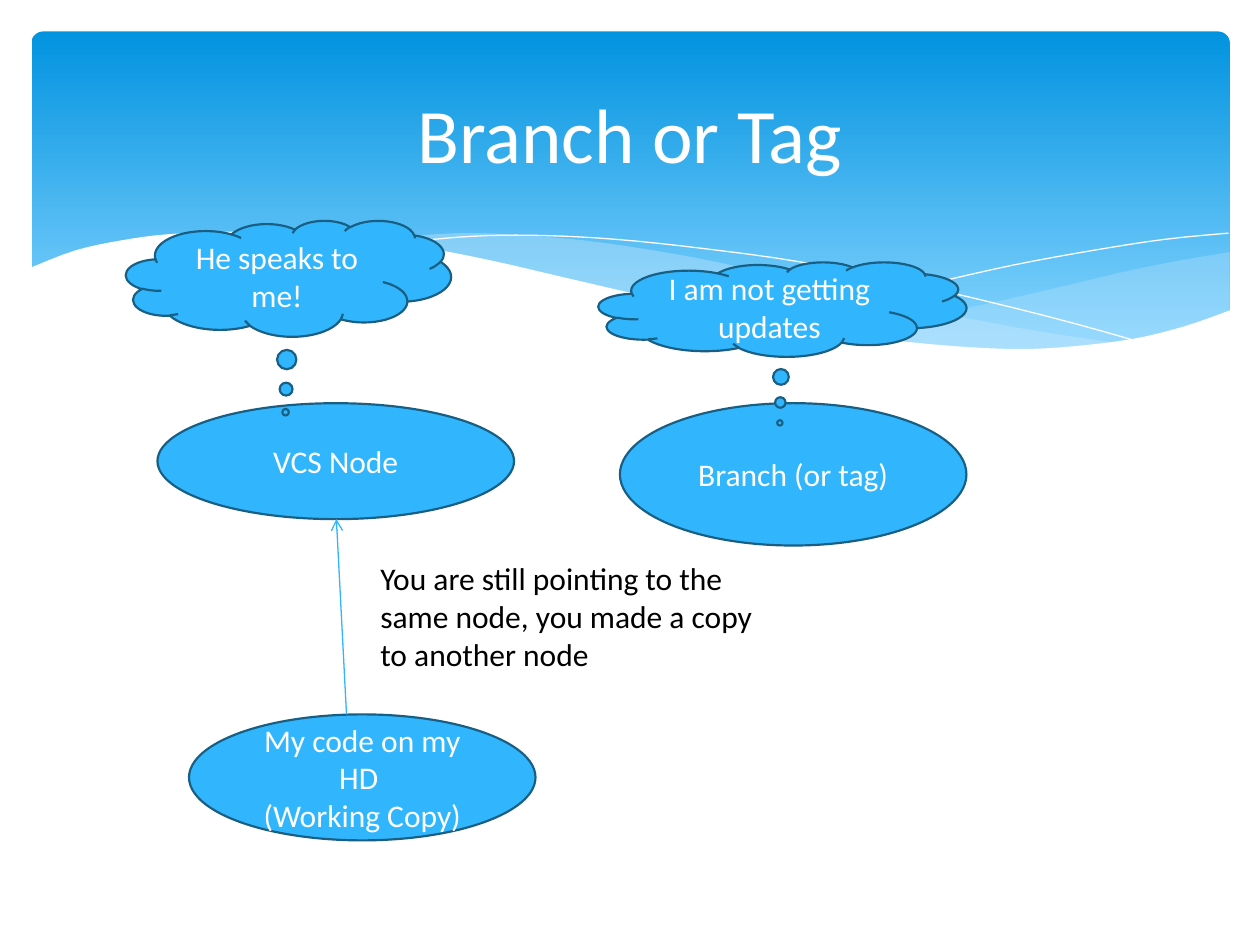
from dataclasses import dataclass

from lxml.etree import SubElement
from pptx import Presentation
from pptx.dml.color import RGBColor
from pptx.enum.shapes import MSO_CONNECTOR, MSO_SHAPE
from pptx.enum.text import MSO_ANCHOR, PP_ALIGN
from pptx.oxml.ns import qn
from pptx.util import Inches, Pt


@dataclass(frozen=True)
class Theme:
    """Colours, font and sizes used on the slide."""
    font: str = "Calibri"
    title: int = 44
    body: int = 18
    white: str = "FFFFFF"
    black: str = "000000"
    node: str = "31B6FD"
    edge: str = "195F84"
    sky_top: str = "0293E0"
    sky_bottom: str = "83D3FE"
    wave: str = "C6E7FC"


T = Theme()
RIGHT_WAVE = [(9.76, 2), (9.35, 2.07), (8.91, 2.16), (8.32, 2.3), (7.79, 2.42),
              (7.29, 2.53), (6.61, 2.65)]
RIGHT_WAVE_BASE = [(6.61, 2.65), (7.05, 2.71), (7.45, 2.75), (8.03, 2.78), (8.54, 2.76),
                   (8.97, 2.7), (9.35, 2.62), (9.76, 2.47)]
MID_WAVE = [(8.93, 2.73), (8.37, 2.65), (7.75, 2.54), (7.06, 2.4), (6.29, 2.22),
            (5.69, 2.08), (5.14, 1.98), (4.65, 1.91), (4.2, 1.87), (3.8, 1.85),
            (3.44, 1.86), (2.86, 1.91)]
MID_WAVE_BASE = [(2.86, 1.91), (3.42, 1.99), (4.04, 2.11), (4.49, 2.22), (5.3, 2.4),
                 (6.01, 2.55), (6.65, 2.66), (7.22, 2.74), (7.73, 2.77), (8.18, 2.78),
                 (8.57, 2.77), (8.93, 2.73)]
LONG_LINE = [(3.09, 1.95), (3.44, 1.9), (3.87, 1.87), (4.33, 1.87), (4.89, 1.9),
             (5.56, 1.97), (6.36, 2.08), (7.27, 2.26), (8.31, 2.51), (9.07, 2.72)]
SHORT_LINE = [(6.13, 2.57), (6.72, 2.41), (7.48, 2.23), (8.06, 2.1), (8.66, 1.99),
              (9.24, 1.9), (9.75, 1.85)]
SHEET_EDGE = [(9.77, 2.46), (9.4, 2.59), (8.99, 2.69), (8.5, 2.75), (8.09, 2.77),
              (7.61, 2.75), (7.08, 2.7), (6.48, 2.62), (5.79, 2.5), (5.03, 2.33),
              (4.47, 2.2), (3.91, 2.07), (3.4, 1.97), (2.92, 1.9), (2.5, 1.86),
              (2.11, 1.84), (1.77, 1.84), (1.32, 1.86), (0.95, 1.91), (0.59, 1.99),
              (0.23, 2.13)]


def rgb(color):
    """Turn a hex string into a colour."""
    return RGBColor.from_string(color)


def place(box, x, y, w, h):
    """Return a rectangle in lengths, offset from the box's corner."""
    return [Inches(n) for n in (box[0] + x, box[1] + y, w, h)]


def paint(s, fill=None, line=None, width=0.0, alpha=None):
    """Set fill, outline and opacity of a shape without shadow."""
    s.shadow.inherit = False
    if fill:
        s.fill.solid()
        s.fill.fore_color.rgb = rgb(fill)
        if alpha:
            color = s.fill._xPr.find(qn("a:solidFill"))[0]
            SubElement(color, qn("a:alpha"), val=str(alpha * 1000))
    else:
        s.fill.background()
    if line:
        s.line.color.rgb = rgb(line)
        s.line.width = Pt(width)
    else:
        s.line.fill.background()


def write(s, text, *, size=T.body, color=T.white, align=PP_ALIGN.CENTER,
          anchor=MSO_ANCHOR.MIDDLE):
    """Put text into a shape, one paragraph per line."""
    tf = s.text_frame
    tf.word_wrap = True
    tf.vertical_anchor = anchor
    for i, words in enumerate(text.split("\n")):
        p = tf.add_paragraph() if i else tf.paragraphs[0]
        p.alignment = align
        r = p.add_run()
        r.text = words
        r.font.name = T.font
        r.font.size = Pt(size)
        r.font.color.rgb = rgb(color)


def smooth(knots, steps=4):
    """Interpolate a Catmull-Rom curve through the knots."""
    ends = [knots[0], *knots, knots[-1]]
    points = []
    for a, b, c, d in zip(ends, ends[1:], ends[2:], ends[3:]):
        for t in (i / steps for i in range(steps)):
            points.append(tuple(
                q + t / 2 * (r - p + t * (2 * p - 5 * q + 4 * r - s + t * (3 * (q - r) + s - p)))
                for p, q, r, s in zip(a, b, c, d)))
    return points + [knots[-1]]


def outline(slide, box, points, close=True, **style):
    """Draw a freeform through points given relative to the box."""
    pts = [(Inches(box[0] + x), Inches(box[1] + y)) for x, y in points]
    builder = slide.shapes.build_freeform(*pts[0])
    builder.add_line_segments(pts[1:], close=close)
    paint(builder.convert_to_shape(), **style)


def add_backdrop(slide, box):
    """Draw the blue sky, its waves and the white sheet below."""
    sky = slide.shapes.add_shape(MSO_SHAPE.ROUNDED_RECTANGLE, *place(box, 0.25, 0.25, 9.51, 2.7))
    sky.adjustments[0] = 0.034
    paint(sky)
    sky.fill.gradient()
    sky.fill.gradient_angle = 270
    stops = zip(sky.fill.gradient_stops, (T.sky_top, T.sky_bottom), (0, 0.9))
    for stop, color, position in stops:
        stop.color.rgb = rgb(color)
        stop.position = position
    for top, base, alpha in ((RIGHT_WAVE, RIGHT_WAVE_BASE, 29), (MID_WAVE, MID_WAVE_BASE, 40)):
        outline(slide, box, smooth(top) + smooth(base), fill=T.wave, alpha=alpha)
    for knots in (LONG_LINE, SHORT_LINE):
        outline(slide, box, smooth(knots), close=False, line=T.white)
    outline(slide, box, smooth(SHEET_EDGE) + [(0.23, 3.29), (9.77, 3.29)], fill=T.white)


def add_title(slide, box, text):
    """Write the slide title in the box."""
    write(slide.shapes.add_textbox(*place(box, 0, 0, *box[2:])), text, size=T.title)


def add_node(slide, kind, rect, text, tail=None):
    """Draw an ellipse or thought cloud with its label."""
    s = slide.shapes.add_shape(kind, *rect)
    for i, value in enumerate(tail or ()):
        s.adjustments[i] = value
    paint(s, fill=T.node, line=T.edge, width=1.25)
    write(s, text)


def add_arrow(slide, start, end):
    """Draw an open-headed arrow between two points."""
    s = slide.shapes.add_connector(MSO_CONNECTOR.STRAIGHT, *start, *end)
    s.line.color.rgb = rgb(T.node)
    s.line.width = Pt(0.75)
    SubElement(s.line._get_or_add_ln(), qn("a:tailEnd"), type="arrow")
    SubElement(s._element.spPr, qn("a:effectLst"))


def add_diagram(slide, box):
    """Draw the nodes, the pointer, the note and the thoughts."""
    for rect, text in (((0.5, 3.92, 2.75, 1), "My code on my HD \n(Working Copy)"),
                       ((0.25, 1.45, 2.83, 0.92), "VCS Node"),
                       ((3.92, 1.45, 2.75, 1.13), "Branch (or tag)")):
        add_node(slide, MSO_SHAPE.OVAL, place(box, *rect), text)
    add_arrow(slide, place(box, 1.75, 3.92, 0, 0)[:2], place(box, 1.67, 2.37, 0, 0)[:2])
    note = slide.shapes.add_textbox(*place(box, 1.92, 2.64, 3.17, 1.01))
    write(note, "You are still pointing to the same node, you made a copy to another node",
          color=T.black, align=PP_ALIGN.LEFT, anchor=MSO_ANCHOR.TOP)
    for rect, text, tail in (
            ((3.75, 0.33, 2.92, 0.75), "I am not getting updates", (-0.007, 1.202)),
            ((0, 0, 2.58, 0.92), "He speaks to me!", (-0.009, 1.154))):
        add_node(slide, MSO_SHAPE.CLOUD_CALLOUT, place(box, *rect), text, tail)


def main():
    """Build and save the slide."""
    prs = Presentation()
    prs.slide_width, prs.slide_height = Inches(10), Inches(7.5)
    slide = prs.slides.add_slide(prs.slide_layouts[6])
    add_backdrop(slide, (0, 0, 10, 7.5))
    add_title(slide, (0.5, 0.37, 9, 1.37), "Branch or Tag")
    add_diagram(slide, (1, 1.75, 6.67, 4.92))
    prs.save("out.pptx")


if __name__ == "__main__":
    main()
